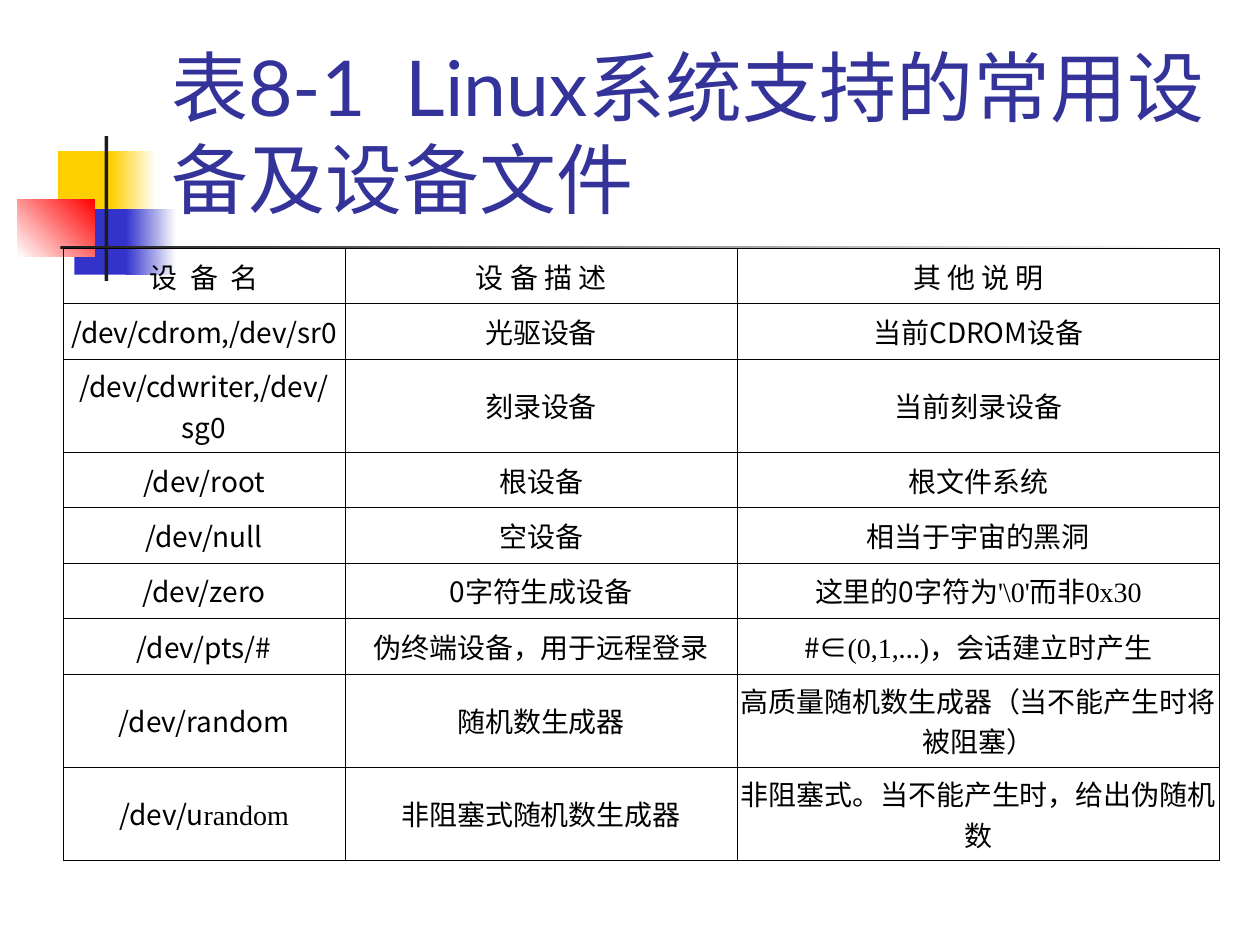
from typing import NamedTuple

from lxml import etree
from pptx import Presentation
from pptx import util as u
from pptx.dml.color import RGBColor
from pptx.enum import shapes, text
from pptx.oxml import ns

SANS, SERIF, LATO = "Noto Sans CJK SC", "Times New Roman", "Lato"
BORDER, BORDER_PT = "080000", 0.45


class Block(NamedTuple):
    left: float
    top: float
    width: float
    height: float
    color: str
    end: str = ""
    angle: float = 0


class Run(NamedTuple):
    text: str
    font: str = SANS


BLOCKS = [
    Block(0.46, 1.2, 0.48, 0.52, "FFCF01"),
    Block(0.88, 1.2, 0.36, 0.52, "FFCF01", "FFFFFF"),
    Block(0.59, 1.66, 0.46, 0.52, "3333CC"),
    Block(1, 1.66, 0.4, 0.52, "3333CC", "FFFFFF"),
    Block(0.14, 1.58, 0.61, 0.46, "FFFFFF", "FF0000", 45),
    Block(0.83, 1.08, 0.03, 1.15, "1C1C1C"),
    Block(0.48, 1.95, 9, 0.03, "1C1C1C", "FFFFFF"),
]
COL_WIDTHS = [2.24, 3.11, 3.83]
ROW_HEIGHT, TALL_ROW_HEIGHT = 0.44, 0.74
TALL_ROWS = {2, 7, 8}
DEVICES = [
    ("设  备  名", "设 备 描 述", "其 他 说 明"),
    ("/dev/cdrom,/dev/sr0", "光驱设备", "当前CDROM设备"),
    ("/dev/cdwriter,/dev/sg0", "刻录设备", "当前刻录设备"),
    ("/dev/root", "根设备", "根文件系统"),
    ("/dev/null", "空设备", "相当于宇宙的黑洞"),
    ("/dev/zero", "0字符生成设备",
     [Run("这里的0字符为"), Run("'\\0'", SERIF), Run("而非"), Run("0x30", SERIF)]),
    ("/dev/pts/#", "伪终端设备，用于远程登录",
     [Run("#∈"), Run("(0,1,", SERIF), Run("…", LATO), Run(")", SERIF),
      Run("，会话建立时产生")]),
    ("/dev/random", "随机数生成器", "高质量随机数生成器（当不能产生时将被阻塞）"),
    ([Run("/dev/u"), Run("random", SERIF)], "非阻塞式随机数生成器",
     "非阻塞式。当不能产生时，给出伪随机数"),
]


def rgb(color: str) -> RGBColor:
    return RGBColor.from_string(color)


def set_attrs(obj, values: dict) -> None:
    for name, value in values.items():
        setattr(obj, name, value)


def add_block(s, block: Block) -> None:
    sp = s.shapes.add_shape(
        shapes.MSO_SHAPE.RECTANGLE,
        *(u.Inches(n) for n in (block.left, block.top, block.width, block.height)))
    sp.shadow.inherit = False
    sp.line.fill.background()
    if not block.end:
        sp.fill.solid()
        sp.fill.fore_color.rgb = rgb(block.color)
        return
    sp.fill.gradient()
    sp.fill.gradient_angle = block.angle
    for stop, color in zip(sp.fill.gradient_stops, (block.color, block.end)):
        stop.color.rgb = rgb(color)


def add_run(p, run: Run, size: float, color: str) -> None:
    r = p.add_run()
    r.text = run.text
    set_attrs(r.font, {"name": run.font, "size": u.Pt(size)})
    r.font.color.rgb = rgb(color)
    etree.SubElement(r.font._element, ns.qn("a:ea"), typeface=SANS)


def add_title(s) -> None:
    sp = s.shapes.add_textbox(*(u.Inches(n) for n in (1.26, 0.23, 8.52, 1.6)))
    tf = sp.text_frame
    set_attrs(tf, {"word_wrap": True, "vertical_anchor": text.MSO_ANCHOR.BOTTOM})
    add_run(tf.paragraphs[0], Run("表8-1  Linux系统支持的常用设备及设备文件", LATO),
            44, "333399")


def add_borders(cell) -> None:
    tc_pr = cell._tc.get_or_add_tcPr()
    for i, edge in enumerate(("lnL", "lnR", "lnT", "lnB")):
        ln = etree.Element(ns.qn(f"a:{edge}"), w=str(u.Pt(BORDER_PT)))
        fill = etree.SubElement(ln, ns.qn("a:solidFill"))
        etree.SubElement(fill, ns.qn("a:srgbClr"), val=BORDER)
        tc_pr.insert(i, ln)


def fill_cell(cell, content: str | list[Run]) -> None:
    set_attrs(cell, {
        "margin_left": u.Inches(0.01), "margin_right": u.Inches(0.01),
        "margin_top": u.Inches(0.05), "margin_bottom": u.Inches(0.05),
        "vertical_anchor": text.MSO_ANCHOR.MIDDLE,
    })
    cell.fill.background()
    add_borders(cell)
    p = cell.text_frame.paragraphs[0]
    p.alignment = text.PP_ALIGN.CENTER
    for run in [Run(content)] if isinstance(content, str) else content:
        add_run(p, run, 16, "000000")


def add_device_table(s) -> None:
    heights = [TALL_ROW_HEIGHT if i in TALL_ROWS else ROW_HEIGHT
               for i in range(len(DEVICES))]
    table = s.shapes.add_table(
        len(DEVICES), len(COL_WIDTHS), u.Inches(0.5), u.Inches(1.97),
        u.Inches(sum(COL_WIDTHS)), u.Inches(sum(heights))).table
    set_attrs(table, {"first_row": False, "horz_banding": False})
    for column, width in zip(table.columns, COL_WIDTHS):
        column.width = u.Inches(width)
    for row, height, contents in zip(table.rows, heights, DEVICES):
        row.height = u.Inches(height)
        for cell, content in zip(row.cells, contents):
            fill_cell(cell, content)


def main() -> None:
    prs = Presentation()
    set_attrs(prs, {"slide_width": u.Inches(10), "slide_height": u.Inches(7.5)})
    s = prs.slides.add_slide(prs.slide_layouts[6])
    for block in BLOCKS:
        add_block(s, block)
    add_title(s)
    add_device_table(s)
    prs.save("out.pptx")


if __name__ == "__main__":
    main()
